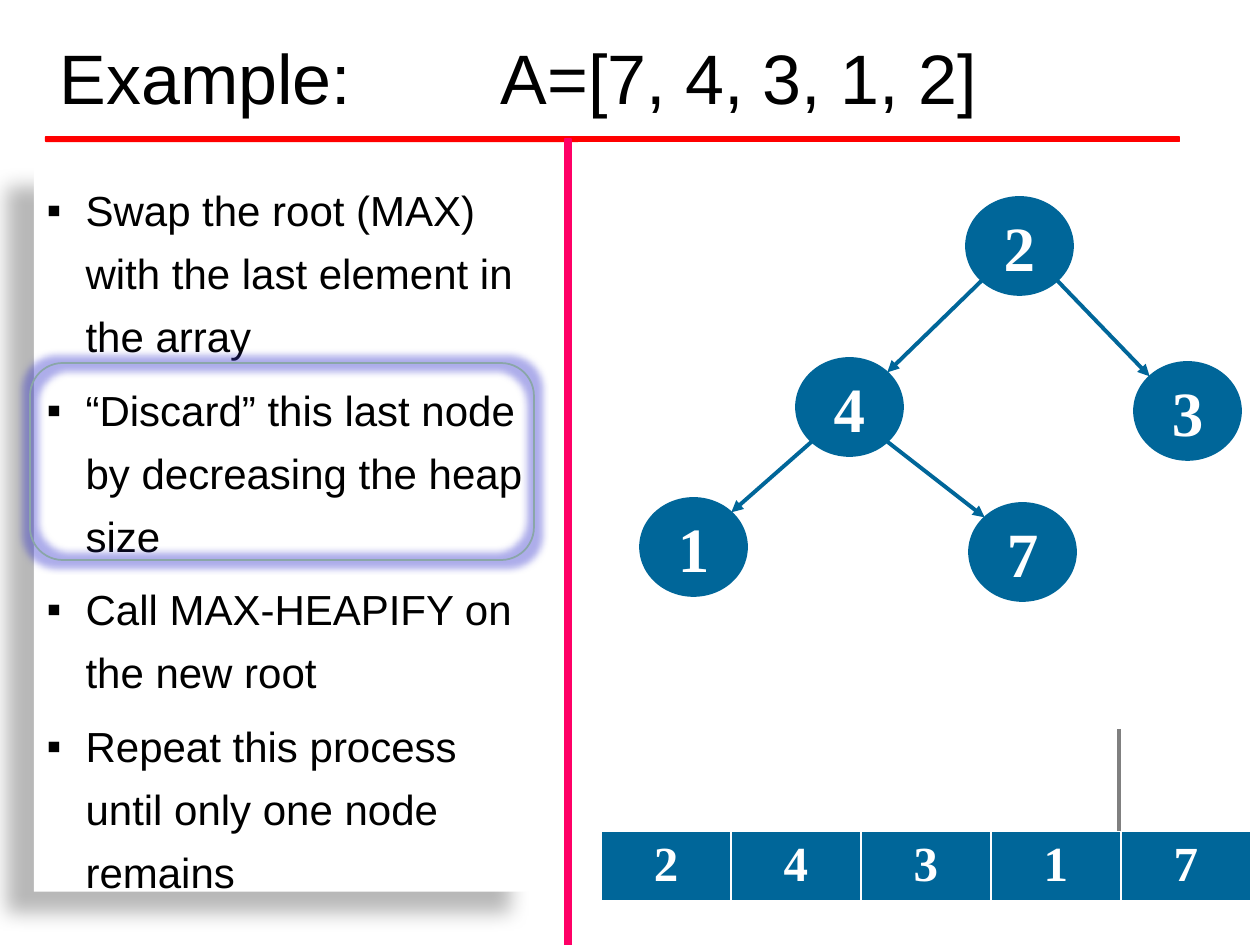
from dataclasses import dataclass
from math import sqrt

from lxml import etree
from pptx import Presentation
from pptx import util as u
from pptx.dml.color import RGBColor
from pptx.enum import shapes, text
from pptx.oxml import ns

SCALE = 914400 / 126


@dataclass(frozen=True)
class Theme:
    ink: str = "000000"
    white: str = "FFFFFF"
    node: str = "006699"
    rule: str = "FF0000"
    bar: str = "FF0066"
    rim: str = "8AA6A8"
    glow: str = "3333CC"
    mark: str = "808080"
    sans: str = "Arial"
    serif: str = "Times New Roman"
    title: int = 40
    body: int = 24
    key: int = 36
    cell: int = 28


T = Theme()


def px(n):
    return u.Emu(round(n * SCALE))


def rgb(hue):
    return RGBColor.from_string(hue)


def add(root, tag, **attrs):
    node = etree.SubElement(root, ns.qn(tag))
    for name, value in attrs.items():
        node.set(name, str(value))
    return node


def tint(root, hue, alpha=None):
    color = add(root, "a:srgbClr", val=hue)
    if alpha:
        add(color, "a:alpha", val=alpha * 1000)


def write(para, words, size, font=T.sans, hue=T.ink, bold=False, align=None):
    run = para.add_run()
    run.text = words
    run.font.size = u.Pt(size)
    run.font.name = font
    run.font.bold = bold
    run.font.color.rgb = rgb(hue)
    para.alignment = align


def place(shape, box):
    shape.left, shape.top, shape.width, shape.height = map(px, box)


def draw(slide, kind, box, fill=None, line=None):
    shape = slide.shapes.add_shape(kind, *map(px, box))
    if fill:
        shape.fill.solid()
        shape.fill.fore_color.rgb = rgb(fill)
    else:
        shape.fill.background()
    if line:
        shape.line.color.rgb = rgb(line)
        shape.line.width = u.Pt(1)
    else:
        shape.line.fill.background()
    shape.shadow.inherit = False
    return shape


def link(slide, start, end, hue, arrow=False):
    wire = slide.shapes.add_connector(
        shapes.MSO_CONNECTOR.STRAIGHT, *map(px, (*start, *end)))
    wire.line.color.rgb = rgb(hue)
    wire.line.width = u.Pt(2.25)
    if arrow:
        add(wire.line._get_or_add_ln(), "a:tailEnd", type="triangle")
    add(wire._element.spPr, "a:effectLst")


def head(slide, box):
    x, y, w, h = box
    title = slide.shapes.title
    place(title, (x, y, w, h))
    frame = title.text_frame
    frame.auto_size = text.MSO_AUTO_SIZE.NONE
    frame.vertical_anchor = text.MSO_ANCHOR.MIDDLE
    write(frame.paragraphs[0], "Example:\t\t\tA=[7, 4, 3, 1, 2]", T.title,
          align=text.PP_ALIGN.LEFT)
    draw(slide, shapes.MSO_SHAPE.ROUNDED_RECTANGLE,
         (x - 2, y + 122, w + 1, 6), T.rule)


def steps(slide, box, items):
    body = slide.placeholders[1]
    place(body, box)
    body.fill.solid()
    body.fill.fore_color.rgb = rgb(T.white)
    effect = add(body._element.spPr, "a:effectLst")
    shade = add(effect, "a:outerShdw", blurRad=u.Pt(11.8), dist=u.Pt(19.7),
                dir=141 * 60000, algn="tr", rotWithShape=0)
    tint(shade, T.ink, 28)
    frame = body.text_frame
    frame.word_wrap = True
    frame.auto_size = text.MSO_AUTO_SIZE.SHAPE_TO_FIT_TEXT
    frame.vertical_anchor = text.MSO_ANCHOR.TOP
    for i, item in enumerate(items):
        para = frame.paragraphs[0] if i == 0 else frame.add_paragraph()
        props = para._p.get_or_add_pPr()
        props.set("marL", str(px(39)))
        props.set("indent", str(-px(39)))
        add(props, "a:buFont", typeface=T.sans)
        add(props, "a:buChar", char="▪")
        para.line_spacing = u.Pt(36)
        para.space_before = u.Pt(0)
        para.space_after = u.Pt(6)
        write(para, item, T.body, align=text.PP_ALIGN.LEFT)


def ring(slide, box):
    frame = draw(slide, shapes.MSO_SHAPE.ROUNDED_RECTANGLE, box, line=T.rim)
    effect = frame._element.spPr.find(ns.qn("a:effectLst"))
    tint(add(effect, "a:glow", rad=u.Pt(8)), T.glow, 40)


def tree(slide, box, spots, edges):
    x, y = box[:2]
    w, h = 107, 98
    mid = {key: (x + dx + w / 2, y + dy + h / 2)
           for key, (dx, dy) in spots.items()}
    for key, (cx, cy) in mid.items():
        disc = draw(slide, shapes.MSO_SHAPE.OVAL,
                    (cx - w / 2, cy - h / 2, w, h), T.node, T.node)
        frame = disc.text_frame
        frame.margin_left = frame.margin_right = 0
        frame.margin_top = frame.margin_bottom = 0
        frame.vertical_anchor = text.MSO_ANCHOR.MIDDLE
        write(frame.paragraphs[0], key, T.key, T.serif, T.white, True,
              text.PP_ALIGN.CENTER)
    dx, dy = w / sqrt(8), h / sqrt(8)
    for top, low in edges:
        (ax, ay), (bx, by) = mid[top], mid[low]
        side = 1 if bx > ax else -1
        link(slide, (ax + side * dx, ay + dy), (bx - side * dx, by - dy),
             T.node, arrow=True)


def array(slide, box, keys):
    grid = slide.shapes.add_table(1, len(keys), *map(px, box)).table
    grid.first_row = grid.horz_banding = False
    for col, key in enumerate(keys):
        grid.columns[col].width = px(box[2] / len(keys))
        cell = grid.cell(0, col)
        props = cell._tc.get_or_add_tcPr()
        for tag, size in (("L", 1), ("R", 1), ("T", 1), ("B", 3)):
            edge = add(props, f"a:ln{tag}", w=u.Pt(size))
            tint(add(edge, "a:solidFill"), T.white)
        cell.fill.solid()
        cell.fill.fore_color.rgb = rgb(T.node)
        write(cell.text_frame.paragraphs[0], key, T.cell, T.serif, T.white,
              True, text.PP_ALIGN.CENTER)


def main():
    deck = Presentation()
    deck.slide_width, deck.slide_height = px(1260), px(945)
    slide = deck.slides.add_slide(deck.slide_layouts[1])
    head(slide, (47, 14, 1134, 125))
    steps(slide, (34, 166, 504, 738), [
        "Swap the root (MAX) with the last element in the array",
        "“Discard” this last node by decreasing the heap size",
        "Call MAX-HEAPIFY on the new root",
        "Repeat this process until only one node remains",
    ])
    tree(slide, (640, 197, 602, 404),
         {"2": (326, 0), "4": (156, 161), "3": (494, 165),
          "1": (0, 301), "7": (329, 306)},
         ["24", "23", "41", "47"])
    array(slide, (601, 831, 650, 69), "24317")
    ring(slide, (30, 363, 504, 197))
    link(slide, (1119, 729), (1119, 831), T.mark)
    draw(slide, shapes.MSO_SHAPE.RECTANGLE, (565, 139, 6, 806), T.bar, T.bar)
    deck.save("out.pptx")


if __name__ == "__main__":
    main()
